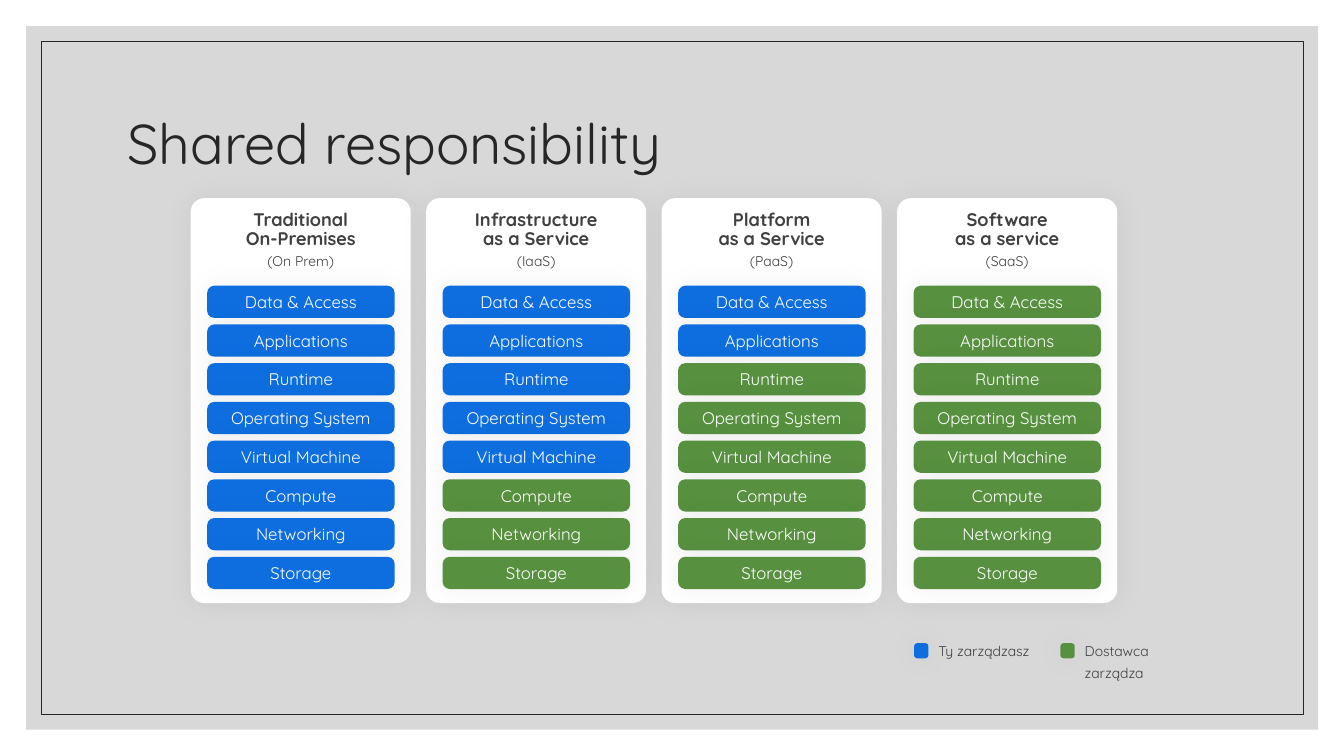
from lxml import etree
from pptx import Presentation
from pptx import util as u
from pptx.dml import color
from pptx.enum import shapes, text
from pptx.oxml import ns

BLUE, GREEN, WHITE = "0E6EDF", "57903F", "FFFFFF"
DARK, GREY = "262626", "404040"
LAYERS = ["Data & Access", "Applications", "Runtime", "Operating System",
          "Virtual Machine", "Compute", "Networking", "Storage"]
MODELS = [
    ("Traditional", "On-Premises", "(On Prem)", 8),
    ("Infrastructure", "as a Service", "(IaaS)", 5),
    ("Platform", "as a Service", "(PaaS)", 2),
    ("Software", "as a service", "(SaaS)", 0),
]
LEGEND = [(653, "Ty zarządzasz", BLUE, 22), (757.5, "Dostawca zarządza", GREEN, 38)]


def rgb(value):
    return color.RGBColor.from_string(value)


class Deck:
    font = "Quicksand"

    def __init__(self, prs):
        self.s = prs.slides.add_slide(prs.slide_layouts[6])

    def box(self, kind, at, fill=None, line=None):
        sp = self.s.shapes.add_shape(kind, *map(u.Pt, at))
        sp.shadow.inherit = False
        if fill:
            sp.fill.solid()
            sp.fill.fore_color.rgb = rgb(fill)
        else:
            sp.fill.background()
        if line:
            sp.line.color.rgb = rgb(line)
            sp.line.width = u.Pt(0.5)
        else:
            sp.line.fill.background()
        return sp

    def panel(self, at, fill, opacity):
        sp = self.box(shapes.MSO_SHAPE.RECTANGLE, at, fill)
        clr = sp._element.spPr.find(".//" + ns.qn("a:srgbClr"))
        etree.SubElement(clr, ns.qn("a:alpha"), val=str(opacity * 1000))

    def frame(self, at, line):
        self.box(shapes.MSO_SHAPE.RECTANGLE, at, line=line)

    def rounded(self, at, fill, radius):
        sp = self.box(shapes.MSO_SHAPE.ROUNDED_RECTANGLE, at, fill)
        sp.adjustments[0] = radius
        effects = sp._element.spPr.find(ns.qn("a:effectLst"))
        shadow = etree.SubElement(effects, ns.qn("a:outerShdw"), blurRad=str(u.Pt(20)),
                                  dist="0", dir="3900000", algn="ctr", rotWithShape="0")
        clr = etree.SubElement(shadow, ns.qn("a:srgbClr"), val="000000")
        etree.SubElement(clr, ns.qn("a:alpha"), val="6000")
        return sp

    def set_text(self, sp, lines, hue, align, anchor, spacing=None, top=3.6):
        tf = sp.text_frame
        frame_format = {"word_wrap": True, "vertical_anchor": anchor,
                        "margin_left": u.Pt(7.2), "margin_right": u.Pt(7.2),
                        "margin_top": u.Pt(top), "margin_bottom": u.Pt(3.6)}
        for name, value in frame_format.items():
            setattr(tf, name, value)
        for i, (words, size, bold) in enumerate(lines):
            p = tf.paragraphs[0] if i == 0 else tf.add_paragraph()
            p.alignment = align
            p.line_spacing = spacing
            r = p.add_run()
            r.text = words
            for name, value in {"name": self.font, "size": u.Pt(size), "bold": bold}.items():
                setattr(r.font, name, value)
            r.font.color.rgb = rgb(hue)

    def label(self, at, words, size, hue, anchor, spacing):
        sp = self.s.shapes.add_textbox(*map(u.Pt, at))
        self.set_text(sp, [(words, size, False)], hue, text.PP_ALIGN.LEFT, anchor, spacing)

    def card(self, at, heading, subheading, short_name):
        sp = self.rounded(at, WHITE, 0.062)
        lines = [(heading, 13, True), (subheading, 13, True), (short_name, 10, False)]
        self.set_text(sp, lines, GREY, text.PP_ALIGN.CENTER, text.MSO_ANCHOR.TOP,
                      u.Pt(14), 5.76)

    def bar(self, at, words, fill):
        sp = self.rounded(at, fill, 0.218)
        self.set_text(sp, [(words, 12, False)], WHITE, text.PP_ALIGN.CENTER,
                      text.MSO_ANCHOR.MIDDLE)


def main():
    prs = Presentation()
    prs.slide_width, prs.slide_height = u.Pt(960), u.Pt(540)
    deck = Deck(prs)
    deck.panel((18.6, 18.6, 923, 502.6), "BFBFBF", 60)
    deck.frame((29.4, 29.4, 901.6, 481), DARK)
    deck.label((84, 50.4, 792, 108), "Shared responsibility", 40, DARK,
               text.MSO_ANCHOR.MIDDLE, 0.9)
    for col, (heading, subheading, short_name, managed) in enumerate(MODELS):
        x = 136.2 + col * 168.2
        deck.card((x, 141.6, 157.2, 289.2), heading, subheading, short_name)
        for row, layer in enumerate(LAYERS):
            deck.bar((x + 11.8, 204.1 + row * 27.66, 133.9, 23), layer,
                     BLUE if row < managed else GREEN)
    for x, words, fill, height in LEGEND:
        deck.rounded((x, 459.4, 10.2, 10.8), fill, 0.218)
        deck.label((x + 10.2, 451.4, 95.8, height), words, 10, GREY,
                   text.MSO_ANCHOR.TOP, u.Pt(16))
    prs.save("out.pptx")


if __name__ == "__main__":
    main()
